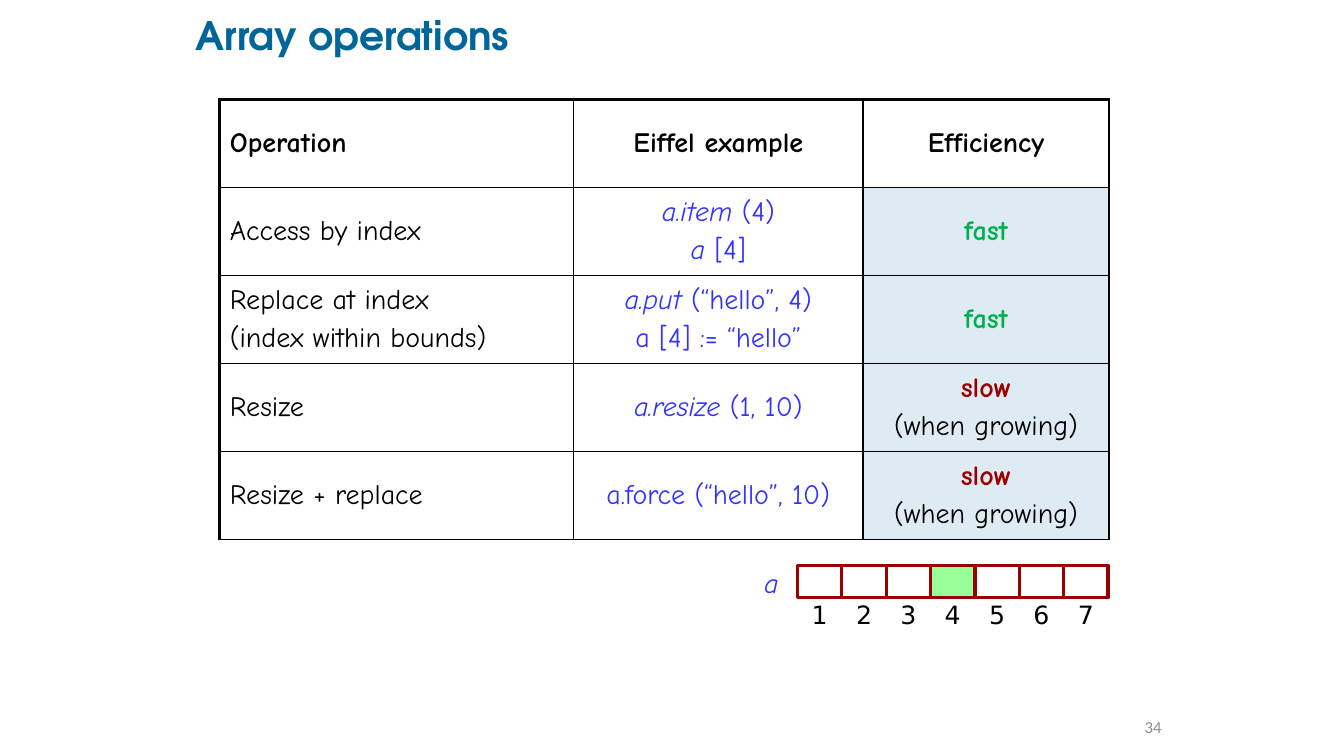
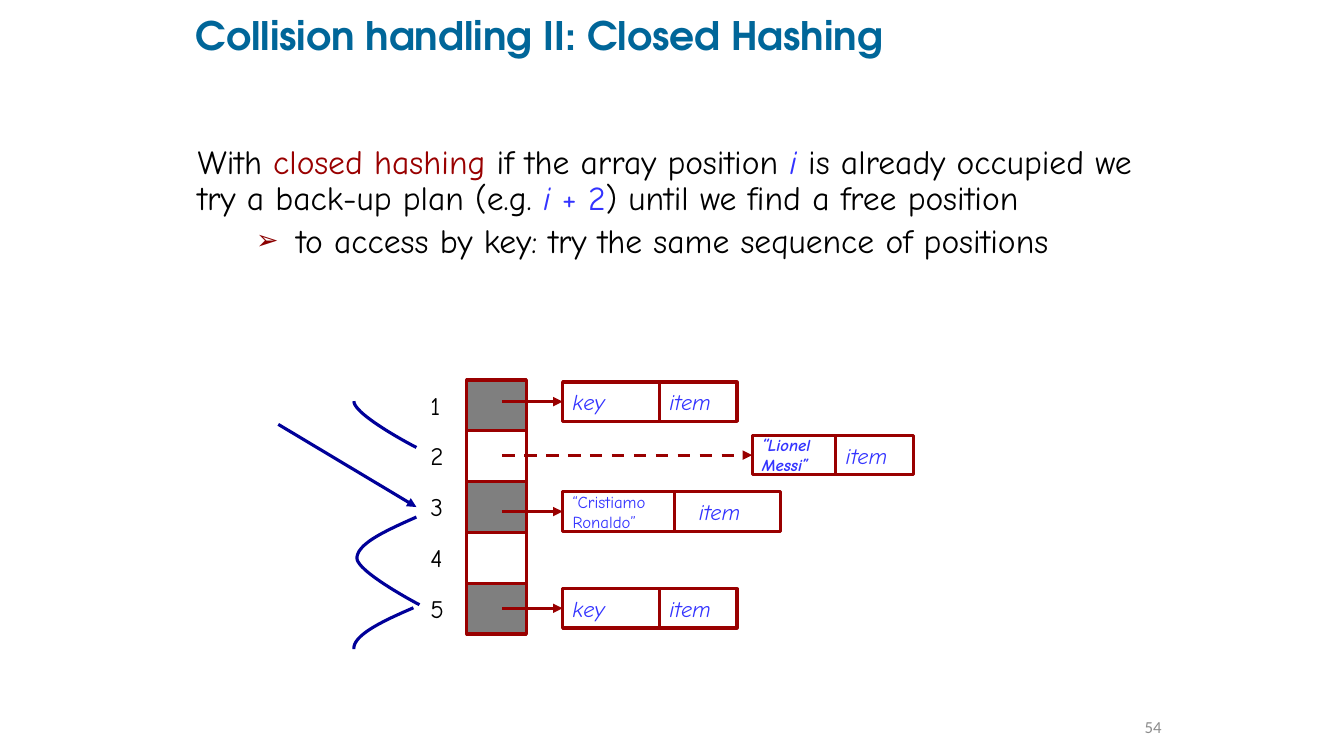
from dataclasses import dataclass

from lxml.etree import SubElement
from pptx import Presentation
from pptx.dml.color import RGBColor
from pptx.enum.dml import MSO_LINE
from pptx.enum.shapes import MSO_CONNECTOR, MSO_SHAPE
from pptx.enum.text import MSO_ANCHOR, MSO_AUTO_SIZE, PP_ALIGN
from pptx.oxml.ns import qn
from pptx.util import Inches, Pt

COLORS = {
    "title": "006699", "text": "000000", "code": "3333FF", "accent": "990000",
    "bullet": "8B0000", "good": "00B050", "tint": "DFEBF3", "current": "99FF99",
    "used": "7F7F7F", "probe": "000099", "number": "8C8C8C",
}
TITLE_FONT = "TeX Gyre Adventor"
TEXT_FONT = "Comic Neue"
DIGIT_FONT = "DejaVu Sans"
NUMBER_FONT = "Calibri"
UNIT = Inches(0.1)
LINE_WIDTH = 2.25
TITLE_ONLY, TITLE_AND_BODY = 5, 1


@dataclass(frozen=True)
class Style:
    size: float = 20
    color: str = "text"
    bold: bool = False
    italic: bool = False
    font: str = TEXT_FONT


PLAIN = Style()
HEADING = Style(bold=True)
CODE = Style(color="code")
NAME = Style(color="code", italic=True)
FAST = Style(color="good", bold=True)
SLOW = Style(color="accent", bold=True)
TITLE = Style(28, "title", bold=True, font=TITLE_FONT)
NUMBER = Style(12, "number", font=NUMBER_FONT)
FIELD = Style(16, "code", italic=True)
PERSON = Style(12, "code")
NEW_PERSON = Style(12, "code", bold=True, italic=True)

GROWING = [[("slow", SLOW)], [("(when growing)", PLAIN)]]
OPERATIONS = [
    [[[("Operation", HEADING)]], [[("Eiffel example", HEADING)]], [[("Efficiency", HEADING)]]],
    [[[("Access by index", PLAIN)]],
     [[("a.item ", NAME), ("(4)", CODE)], [("a ", NAME), ("[4]", CODE)]],
     [[("fast", FAST)]]],
    [[[("Replace at index", PLAIN)], [("(index within bounds)", PLAIN)]],
     [[("a.put ", NAME), ("(“hello”, 4)", CODE)], [("a [4] := “hello”", CODE)]],
     [[("fast", FAST)]]],
    [[[("Resize", PLAIN)]], [[("a.resize ", NAME), ("(1, 10)", CODE)]], GROWING],
    [[[("Resize + replace", PLAIN)]], [[("a.force (“hello”, 10)", CODE)]], GROWING],
]
OPERATION_COLUMNS = [35.1, 28.7, 24.4]

BODY = Style(24)
BODY_NAME = Style(24, "code", italic=True)
EXPLANATION = [
    [("With ", BODY), ("closed hashing ", Style(24, "accent")),
     ("if the array position ", BODY), ("i", BODY_NAME),
     (" is already occupied we try a back-up plan (e.g. ", BODY), ("i", BODY_NAME),
     (" + 2", Style(24, "code")), (") until we find a free position", BODY)],
    [("to access by key: try the same sequence of positions", BODY)],
]

ENTRIES = [
    (55.8, 37.9, "key", FIELD, 9.6, 7.7, 1, False),
    (74.6, 43.2, "“Lionel Messi”", NEW_PERSON, 8.3, 7.7, 1, True),
    (55.8, 48.8, "“Cristiamo Ronaldo”", PERSON, 11.1, 10.5, 2.4, False),
    (55.8, 58.4, "key", FIELD, 9.6, 7.7, 1, False),
]
PROBES = [
    [((35.1, 39.8), (35.1, 41.2), (41.3, 44.4), (41.3, 44.4))],
    [((41.3, 51.3), (38.4, 52.6), (35.4, 53.9), (35.4, 55.4)),
     ((35.4, 55.4), (35.5, 56.8), (41.6, 60), (41.6, 60))],
    [((41, 60.3), (38, 61.6), (35, 63), (35.1, 64.4))],
]


def units(*counts):
    return [int(count * UNIT) for count in counts]


def rgb(name):
    return RGBColor.from_string(COLORS[name])


def write_paragraphs(frame, paragraphs, align=PP_ALIGN.LEFT, gap=4):
    for index, spans in enumerate(paragraphs):
        para = frame.paragraphs[0] if index == 0 else frame.add_paragraph()
        para.alignment = align
        para.space_before = Pt(gap if index else 0)
        for text, style in spans:
            span = para.add_run()
            span.text = text
            span.font.name = style.font
            span.font.size = Pt(style.size)
            span.font.bold = style.bold
            span.font.italic = style.italic
            span.font.color.rgb = rgb(style.color)


def set_margins(frame, across, down):
    frame.margin_left = frame.margin_right = int(across * UNIT)
    frame.margin_top = frame.margin_bottom = int(down * UNIT)


def move(shape, left, top, width, height):
    shape.left, shape.top, shape.width, shape.height = units(left, top, width, height)


def add_label(page, area, text, style, align=PP_ALIGN.CENTER, anchor=MSO_ANCHOR.TOP):
    frame = page.shapes.add_textbox(*units(*area)).text_frame
    frame.word_wrap = True
    frame.vertical_anchor = anchor
    write_paragraphs(frame, [[(text, style)]], align)


def add_page(deck, layout, title, number):
    page = deck.slides.add_slide(deck.slide_layouts[layout])
    heading = page.shapes.title
    move(heading, 19.4, 1.3, 86.9, 4.8)
    frame = heading.text_frame
    frame.auto_size = MSO_AUTO_SIZE.NONE
    frame.vertical_anchor = MSO_ANCHOR.MIDDLE
    set_margins(frame, 0, 0)
    write_paragraphs(frame, [[(title, TITLE)]])
    frame.paragraphs[0].line_spacing = 0.9
    add_label(page, (110.2, 69.3, 6, 5.7), number, NUMBER, PP_ALIGN.RIGHT, MSO_ANCHOR.MIDDLE)
    return page


def outline(shape, color):
    shape.line.color.rgb = rgb(color)
    shape.line.width = Pt(LINE_WIDTH)


def add_box(page, area, fill=None):
    box = page.shapes.add_shape(MSO_SHAPE.FLOWCHART_PROCESS, *units(*area))
    box.shadow.inherit = False
    if fill:
        box.fill.solid()
        box.fill.fore_color.rgb = rgb(fill)
    else:
        box.fill.background()
    outline(box, "accent")
    return box


def add_field(page, area, text, style, inset=1):
    box = add_box(page, area)
    frame = box.text_frame
    frame.word_wrap = True
    frame.vertical_anchor = MSO_ANCHOR.MIDDLE
    set_margins(frame, 1, 0.5)
    frame.margin_left = int(inset * UNIT)
    write_paragraphs(frame, [[(text, style)]])
    return box


def add_arrow(page, start, end, color, dashed=False):
    arrow = page.shapes.add_connector(MSO_CONNECTOR.STRAIGHT, *units(*start, *end))
    outline(arrow, color)
    if dashed:
        arrow.line.dash_style = MSO_LINE.DASH
    SubElement(arrow.line._get_or_add_ln(), qn("a:tailEnd"), type="triangle")
    SubElement(arrow._element.spPr, qn("a:effectLst"))
    return arrow


def curve_points(controls, steps=24):
    for step in range(steps + 1):
        t = step / steps
        weights = ((1 - t) ** 3, 3 * t * (1 - t) ** 2, 3 * t ** 2 * (1 - t), t ** 3)
        yield tuple(units(*(sum(w * point[axis] for w, point in zip(weights, controls))
                            for axis in (0, 1))))


def add_curve(page, segments):
    points = [point for controls in segments for point in curve_points(controls)]
    builder = page.shapes.build_freeform(*points[0], scale=1.0)
    builder.add_line_segments(points[1:], close=False)
    curve = builder.convert_to_shape()
    curve.shadow.inherit = False
    curve.fill.background()
    outline(curve, "probe")


def set_borders(cell, widths):
    properties = cell._tc.get_or_add_tcPr()
    for side, width in zip("LRTB", widths):
        border = SubElement(properties, qn(f"a:ln{side}"), w=str(Pt(width)))
        fill = SubElement(border, qn("a:solidFill"))
        SubElement(fill, qn("a:srgbClr"), val=COLORS["text"])


def add_operations_table(page):
    last = len(OPERATION_COLUMNS) - 1
    area = units(21.8, 9.9, sum(OPERATION_COLUMNS), 43.6)
    table = page.shapes.add_table(len(OPERATIONS), last + 1, *area).table
    table.first_row = table.horz_banding = False
    for column, width in zip(table.columns, OPERATION_COLUMNS):
        column.width = int(width * UNIT)
    for row, contents in enumerate(OPERATIONS):
        for column, paragraphs in enumerate(contents):
            cell = table.cell(row, column)
            outer = (column == 0, column == last, row == 0, False)
            set_borders(cell, [LINE_WIDTH if edge else 1 for edge in outer])
            if row and column == last:
                cell.fill.solid()
                cell.fill.fore_color.rgb = rgb("tint")
            else:
                cell.fill.background()
            cell.vertical_anchor = MSO_ANCHOR.MIDDLE
            align = PP_ALIGN.CENTER if column else PP_ALIGN.LEFT
            write_paragraphs(cell.text_frame, paragraphs, align)


def add_array(page, count=7, current=4, left=79.1, pitch=4.4):
    for index in range(1, count + 1):
        start = left + (index - 1) * pitch
        add_box(page, (start, 56.1, pitch, 3.2), "current" if index == current else None)
        add_label(page, (start, 59, pitch, 4), str(index), Style(18, font=DIGIT_FONT))
    add_label(page, (74.6, 55.6, 3.8, 4.3), "a", NAME)


def add_explanation(page):
    body = page.placeholders[1]
    move(body, 18.6, 13.9, 95.3, 11.8)
    frame = body.text_frame
    frame.auto_size = MSO_AUTO_SIZE.NONE
    set_margins(frame, 1, 0.5)
    write_paragraphs(frame, EXPLANATION, gap=4.8)
    for para in frame.paragraphs:
        para.line_spacing = 0.9
    intro, point = frame.paragraphs
    plain = intro._p.get_or_add_pPr()
    plain.set("marL", "0")
    plain.set("indent", "0")
    SubElement(plain, qn("a:buNone"))
    point.level = 1
    bulleted = point._p.get_or_add_pPr()
    bulleted.set("marL", str(Inches(0.98)))
    bulleted.set("indent", str(-Inches(0.4)))
    color = SubElement(bulleted, qn("a:buClr"))
    SubElement(color, qn("a:srgbClr"), val=COLORS["bullet"])
    SubElement(bulleted, qn("a:buSzPct"), val="80000")
    SubElement(bulleted, qn("a:buChar"), char="➢")


def add_buckets(page, count=5, top=37.7, pitch=5.04):
    for index in range(count):
        start = top + index * pitch
        add_box(page, (46.3, start, 5.9, pitch), None if index % 2 else "used")
        add_label(page, (41.7, start + 0.5, 4.6, 4), str(index + 1), Style(18), PP_ALIGN.LEFT)


def add_entry(page, left, top, text, style, key_width, item_width, inset, dashed):
    height = 3.9
    add_field(page, (left + key_width, top, item_width, height), "item", FIELD, inset)
    key = add_field(page, (left, top, key_width, height), text, style)
    middle = top + height / 2
    arrow = add_arrow(page, (49.8, middle), (left, middle), "accent", dashed)
    arrow.end_connect(key, 1)


def main():
    deck = Presentation()
    deck.slide_width, deck.slide_height = Inches(13.33), Inches(7.5)

    operations = add_page(deck, TITLE_ONLY, "Array operations", "34")
    add_operations_table(operations)
    add_array(operations)

    hashing = add_page(deck, TITLE_AND_BODY, "Collision handling II: Closed Hashing", "54")
    add_explanation(hashing)
    add_buckets(hashing)
    for entry in ENTRIES:
        add_entry(hashing, *entry)
    add_arrow(hashing, (27.6, 42.1), (41.3, 50.3), "probe")
    for probe in PROBES:
        add_curve(hashing, probe)

    deck.save("out.pptx")


if __name__ == "__main__":
    main()
